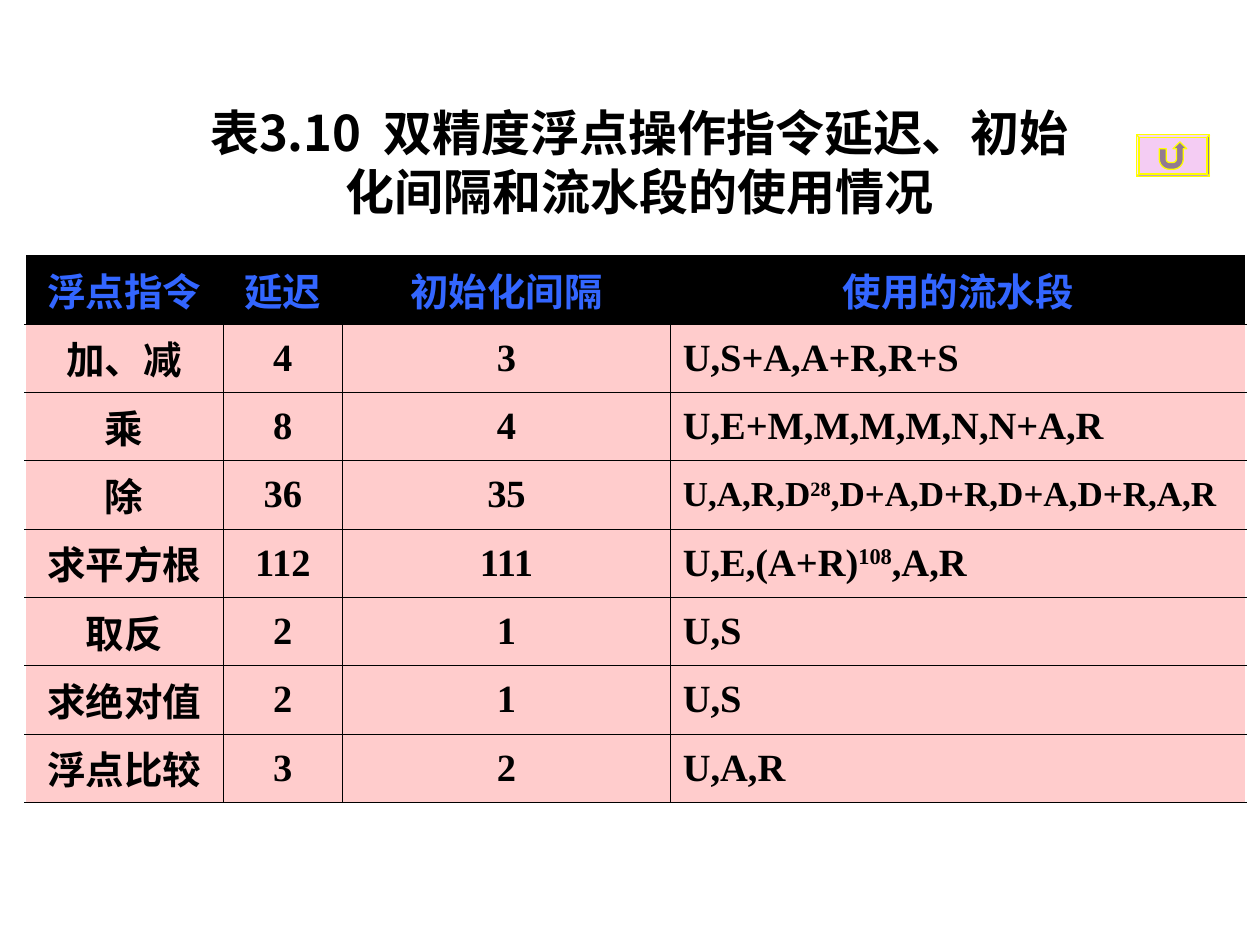
from dataclasses import dataclass

from lxml.etree import SubElement
from pptx import Presentation
from pptx.dml.color import RGBColor
from pptx.enum.shapes import MSO_SHAPE
from pptx.enum.text import MSO_ANCHOR, PP_ALIGN
from pptx.oxml.ns import qn
from pptx.util import Inches, Pt


@dataclass(frozen=True)
class Theme:
    black: str = "000000"
    header_text: str = "3366FF"
    body_fill: str = "FFCCCC"
    button_fill: str = "F4CCF3"
    button_line: str = "FFFF00"
    latin: str = "Times New Roman"
    chinese: str = "Noto Sans CJK SC"
    title_size: float = 28
    table_size: float = 22
    long_size: float = 20
    border: float = 0.45
    button_border: float = 0.74


class SlideBuilder:
    def __init__(self, slide, theme):
        self.slide = slide
        self.theme = theme

    def format_run(self, run, size, color, latin):
        run.font.size = Pt(size)
        run.font.bold = True
        run.font.name = latin
        run.font.color.rgb = RGBColor.from_string(color)
        SubElement(run.font._element, qn("a:ea"), typeface=self.theme.chinese)

    def title(self, text, left, top, width, height):
        heading = self.slide.shapes.title
        heading.left, heading.top = Inches(left), Inches(top)
        heading.width, heading.height = Inches(width), Inches(height)
        frame = heading.text_frame
        frame.text = text
        frame.word_wrap = True
        frame.vertical_anchor = MSO_ANCHOR.MIDDLE
        paragraph = frame.paragraphs[0]
        paragraph.alignment = PP_ALIGN.CENTER
        paragraph.line_spacing = Pt(self.theme.title_size * 1.2)
        self.format_run(paragraph.runs[0], self.theme.title_size,
                        self.theme.black, self.theme.chinese)

    def button_part(self, preset, left, top, width, height):
        part = self.slide.shapes.add_shape(
            preset, Inches(left), Inches(top), Inches(width), Inches(height))
        part.shadow.inherit = False
        part.fill.solid()
        part.fill.fore_color.rgb = RGBColor.from_string(self.theme.button_fill)
        part.line.color.rgb = RGBColor.from_string(self.theme.button_line)
        part.line.width = Pt(self.theme.button_border)
        return part

    def return_button(self, left, top, width, height, bevel):
        frame = self.button_part(MSO_SHAPE.BEVEL, left, top, width, height)
        frame.adjustments[0] = bevel / height
        self.button_part(MSO_SHAPE.ACTION_BUTTON_RETURN, left + bevel,
                         top + bevel, width - 2 * bevel, height - 2 * bevel)

    def borders(self, cell, sides):
        properties = cell._tc.get_or_add_tcPr()
        for position, side in enumerate(sides):
            line = properties.makeelement(
                qn(f"a:ln{side}"), {"w": str(Pt(self.theme.border))})
            fill = SubElement(line, qn("a:solidFill"))
            SubElement(fill, qn("a:srgbClr"), val=self.theme.black)
            properties.insert(position, line)

    def cell(self, cell, text, is_header, is_centred):
        theme = self.theme
        cell.vertical_anchor = MSO_ANCHOR.MIDDLE
        cell.margin_left = cell.margin_right = Inches(0.1)
        cell.margin_top = cell.margin_bottom = Inches(0.05)
        cell.fill.solid()
        cell.fill.fore_color.rgb = RGBColor.from_string(
            theme.black if is_header else theme.body_fill)
        size = theme.long_size if len(text) > 25 else theme.table_size
        paragraph = cell.text_frame.paragraphs[0]
        paragraph.alignment = PP_ALIGN.CENTER if is_centred else PP_ALIGN.LEFT
        paragraph.space_before = Pt(size / 4)
        # Pieces between carets alternate between normal and raised text
        for index, piece in enumerate(text.split("^")):
            run = paragraph.add_run()
            run.text = piece
            self.format_run(run, size,
                            theme.header_text if is_header else theme.black,
                            theme.latin)
            if index % 2:
                run.font._element.set("baseline", "30000")

    def table(self, rows, left, top, widths, header_height, row_height):
        heights = [header_height] + [row_height] * (len(rows) - 1)
        table = self.slide.shapes.add_table(
            len(rows), len(widths), Inches(left), Inches(top),
            Inches(sum(widths)), Inches(sum(heights))).table
        for column, width in zip(table.columns, widths):
            column.width = Inches(width)
        last = len(widths) - 1
        for r, (values, height) in enumerate(zip(rows, heights)):
            table.rows[r].height = Inches(height)
            for c, value in enumerate(values):
                cell = table.cell(r, c)
                self.cell(cell, value, r == 0, r == 0 or c < last)
                # The outer left and right edges stay open
                sides = ["L"] * (c > 0) + ["R"] * (c < last) + ["T", "B"]
                self.borders(cell, sides)


presentation = Presentation()
presentation.slide_width, presentation.slide_height = Inches(10), Inches(7.5)
builder = SlideBuilder(
    presentation.slides.add_slide(presentation.slide_layouts[5]), Theme())

# Heading and return button
builder.title("表3.10  双精度浮点操作指令延迟、初始化间隔和流水段的使用情况",
              1.53, 0.76, 7.09, 1.04)
builder.return_button(9.02, 1.07, 0.58, 0.33, 0.02)

# Latency, initiation interval and pipeline stages of each instruction
instructions = [
    ("浮点指令", "延迟", "初始化间隔", "使用的流水段"),
    ("加、减", "4", "3", "U,S+A,A+R,R+S"),
    ("乘", "8", "4", "U,E+M,M,M,M,N,N+A,R"),
    ("除", "36", "35", "U,A,R,D^28^,D+A,D+R,D+A,D+R,A,R"),
    ("求平方根", "112", "111", "U,E,(A+R)^108^,A,R"),
    ("取反", "2", "1", "U,S"),
    ("求绝对值", "2", "1", "U,S"),
    ("浮点比较", "3", "2", "U,A,R"),
]
builder.table(instructions, 0.2, 2.03, [1.57, 0.95, 2.6, 4.57], 0.52, 0.49)

presentation.save("out.pptx")
